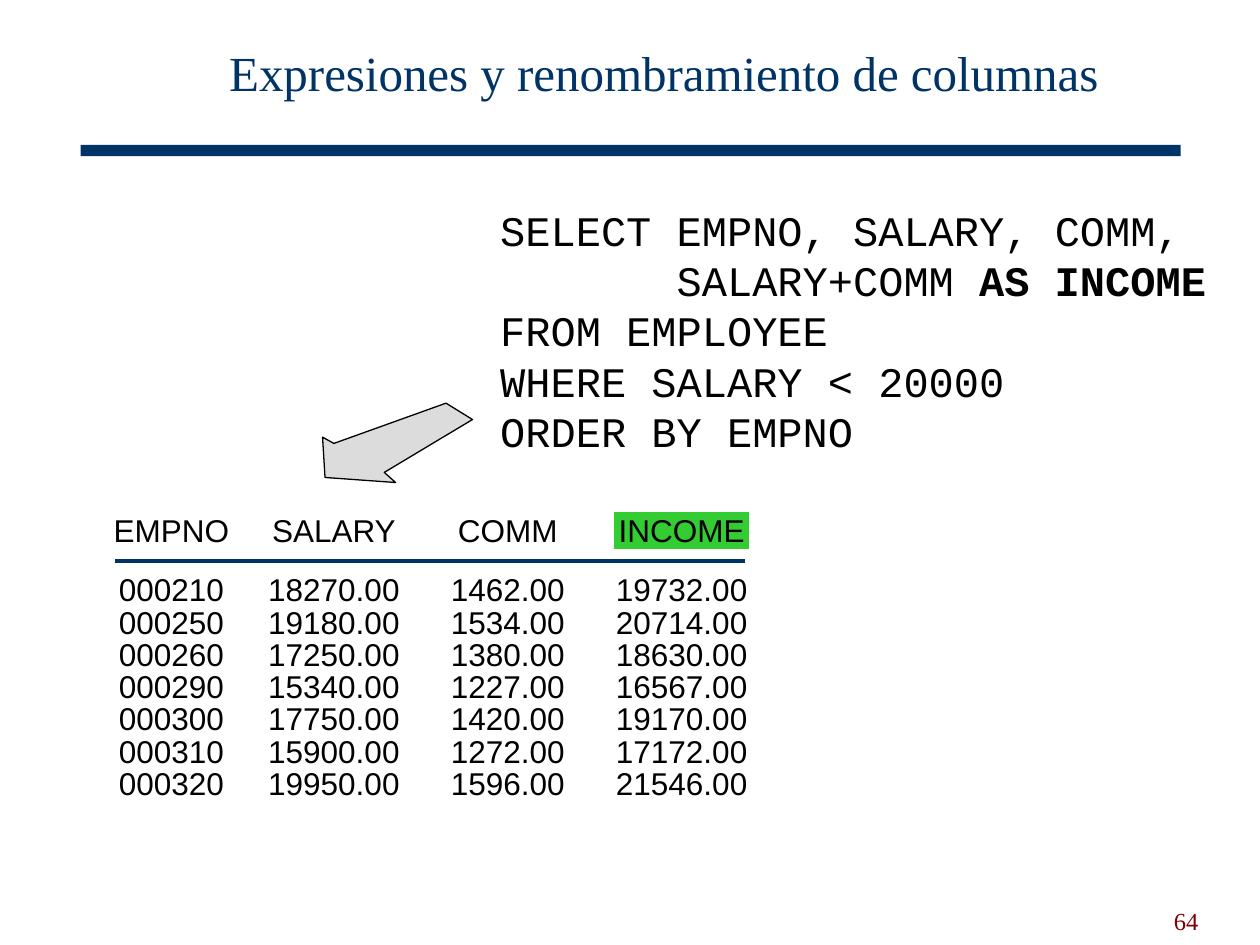
import pptx
import pptx.dml.color
import pptx.enum.shapes
import pptx.enum.text
import pptx.oxml.ns
import pptx.util
from lxml import etree

Inches = pptx.util.Inches
Pt = pptx.util.Pt
ALIGN = pptx.enum.text.PP_ALIGN
ANCHOR = pptx.enum.text.MSO_ANCHOR

CODE = [
    [("SELECT EMPNO, SALARY, COMM,", False)],
    [("       SALARY+COMM ", False), ("AS INCOME", True)],
    [("FROM EMPLOYEE", False)],
    [("WHERE SALARY < 20000", False)],
    [("ORDER BY EMPNO", False)],
]
RESULT = [
    ("EMPNO", "SALARY", "COMM", "INCOME"),
    ("000210", "18270.00", "1462.00", "19732.00"),
    ("000250", "19180.00", "1534.00", "20714.00"),
    ("000260", "17250.00", "1380.00", "18630.00"),
    ("000290", "15340.00", "1227.00", "16567.00"),
    ("000300", "17750.00", "1420.00", "19170.00"),
    ("000310", "15900.00", "1272.00", "17172.00"),
    ("000320", "19950.00", "1596.00", "21546.00"),
]
COLUMN_WIDTHS = [1.5, 1.08, 1.68, 1.08]
ROW_HEIGHTS = [0.3, 0.47] + [1.54 / 6] * 6
ARROW = [(3.75, 3.33), (3.54, 3.2), (2.65, 3.52), (2.56, 3.47),
         (2.58, 3.79), (3.14, 3.83), (3.05, 3.75)]


def rgb(value):
    return pptx.dml.color.RGBColor.from_string(value)


def add_text(p, text, font="Arial", size=18, color="000000", bold=False,
             align=None, spacing=None):
    r = p.add_run()
    r.text = text
    r.font.name = font
    r.font.size = Pt(size)
    r.font.bold = bold
    r.font.color.rgb = rgb(color)
    if align is not None:
        p.alignment = align
    if spacing is not None:
        p.line_spacing = spacing


def set_margins(target, x=0, y=0):
    target.margin_left = target.margin_right = Inches(x)
    target.margin_top = target.margin_bottom = Inches(y)


class SlideBuilder:
    navy = "003366"
    maroon = "800000"
    grey = "DCDCDC"
    green = "33CC33"
    serif = "Times New Roman"
    mono = "Courier New"

    def __init__(self, prs):
        self.s = prs.slides.add_slide(prs.slide_layouts[5])

    def title(self, text, x, y, w, h):
        sp = self.s.shapes.title
        sp.left, sp.top, sp.width, sp.height = map(Inches, (x, y, w, h))
        tf = sp.text_frame
        tf.vertical_anchor = ANCHOR.MIDDLE
        add_text(tf.paragraphs[0], text, font=self.serif, size=28,
                 color=self.navy, align=ALIGN.CENTER, spacing=0.85)

    def bar(self, x, y, w, h):
        sp = self.s.shapes.add_shape(pptx.enum.shapes.MSO_SHAPE.RECTANGLE,
                                     *map(Inches, (x, y, w, h)))
        sp.shadow.inherit = False
        sp.fill.solid()
        sp.fill.fore_color.rgb = rgb(self.navy)
        sp.line.fill.background()

    def page_number(self, text, x, y, w, h):
        tf = self.s.shapes.add_textbox(*map(Inches, (x, y, w, h))).text_frame
        tf.word_wrap = True
        tf.vertical_anchor = ANCHOR.BOTTOM
        set_margins(tf, 0.1, 0.05)
        add_text(tf.paragraphs[0], text, font=self.serif, size=14,
                 color=self.maroon, align=ALIGN.RIGHT)

    def code(self, lines, x, y, w, h):
        tf = self.s.shapes.add_textbox(*map(Inches, (x, y, w, h))).text_frame
        tf.word_wrap = True
        set_margins(tf)
        for i, runs in enumerate(lines):
            p = tf.add_paragraph() if i else tf.paragraphs[0]
            for text, bold in runs:
                add_text(p, text, font=self.mono, size=24, bold=bold,
                         align=ALIGN.LEFT, spacing=Pt(28.8))

    def outline(self, points):
        start, *rest = [(Inches(x), Inches(y)) for x, y in points]
        builder = self.s.shapes.build_freeform(*start)
        builder.add_line_segments(rest, close=True)
        sp = builder.convert_to_shape()
        sp.shadow.inherit = False
        sp.fill.solid()
        sp.fill.fore_color.rgb = rgb(self.grey)
        sp.line.color.rgb = rgb("000000")
        sp.line.width = Pt(0.75)

    def table(self, rows, x, y, widths, heights, highlight):
        """Draw rows as a plain table; highlight names the filled heading."""
        table = self.s.shapes.add_table(
            len(rows), len(widths), Inches(x), Inches(y),
            Inches(sum(widths)), Inches(sum(heights))).table
        table.first_row = table.horz_banding = False
        for column, width in zip(table.columns, widths):
            column.width = Inches(width)
        for row, height, values in zip(table.rows, heights, rows):
            row.height = Inches(height)
            for cell, value in zip(row.cells, values):
                set_margins(cell)
                cell.vertical_anchor = ANCHOR.BOTTOM
                if value == highlight:
                    cell.fill.solid()
                    cell.fill.fore_color.rgb = rgb(self.green)
                else:
                    cell.fill.background()
                add_text(cell.text_frame.paragraphs[0], value,
                         align=ALIGN.CENTER, spacing=Pt(18))

    def rule(self, x1, x2, y):
        line = self.s.shapes.add_connector(
            pptx.enum.shapes.MSO_CONNECTOR.STRAIGHT,
            *map(Inches, (x1, y, x2, y)))
        line.line.color.rgb = rgb(self.navy)
        line.line.width = Pt(2.25)
        etree.SubElement(line._element.spPr, pptx.oxml.ns.qn("a:effectLst"))


def main():
    prs = pptx.Presentation()
    prs.slide_width, prs.slide_height = Inches(10), Inches(7.5)
    slide = SlideBuilder(prs)
    slide.bar(0.64, 1.15, 8.73, 0.09)
    slide.page_number("64", 7.21, 6.97, 2.4, 0.5)
    slide.title("Expresiones y renombramiento de columnas",
                1.23, 0.14, 8.08, 0.94)
    slide.code(CODE, 3.97, 1.62, 5.8, 2)
    slide.outline(ARROW)
    slide.table(RESULT, 0.61, 4.06, COLUMN_WIDTHS, ROW_HEIGHTS, "INCOME")
    slide.rule(0.91, 5.91, 4.45)
    prs.save("out.pptx")


if __name__ == "__main__":
    main()
